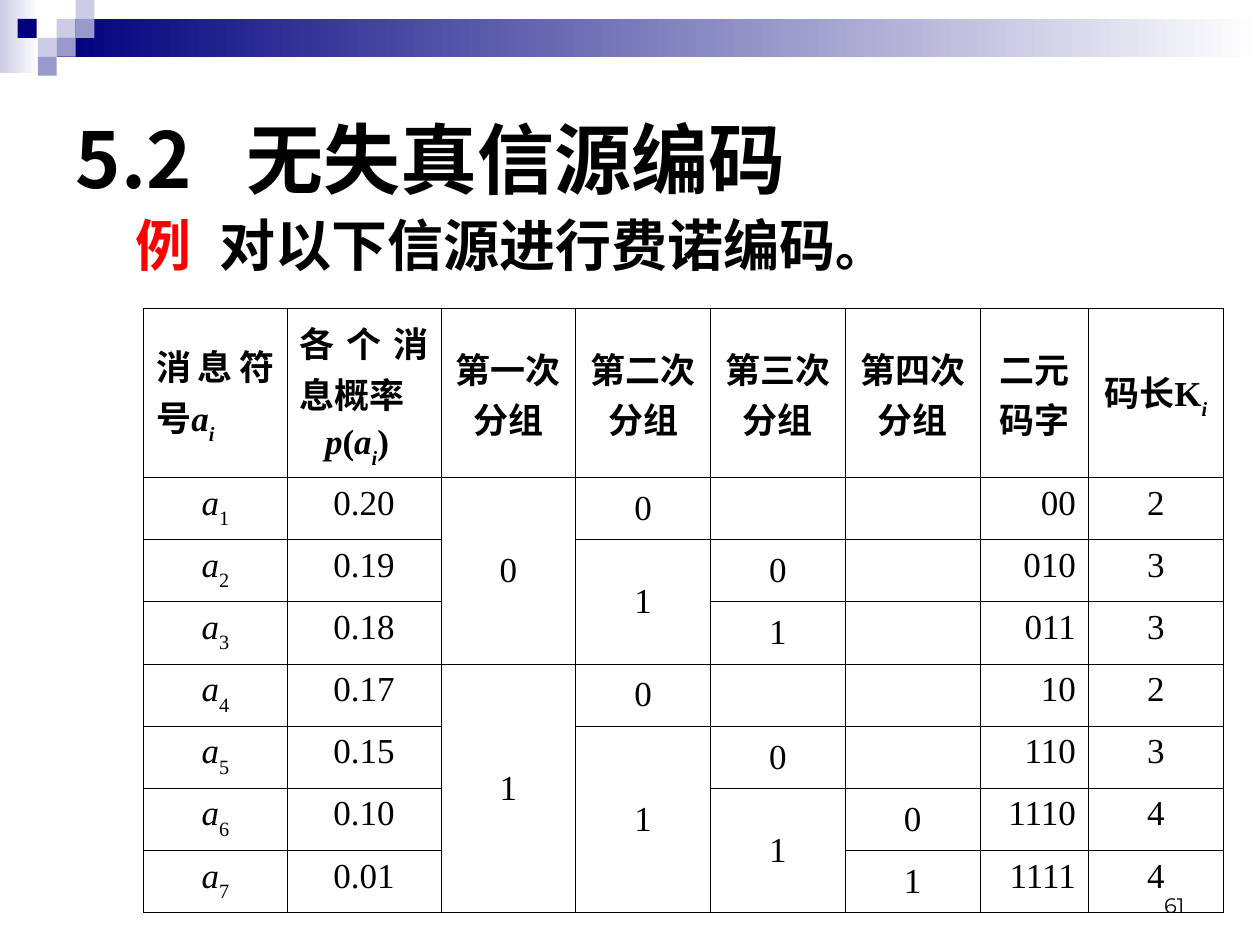
"""Build the slide on Fano coding of a seven-symbol source."""
from dataclasses import dataclass
from typing import Optional, Sequence

from lxml.etree import SubElement
from pptx import Presentation
from pptx.dml.color import RGBColor
from pptx.enum.dml import MSO_THEME_COLOR
from pptx.enum.shapes import MSO_SHAPE
from pptx.enum.text import MSO_ANCHOR, MSO_AUTO_SIZE, PP_ALIGN
from pptx.oxml.ns import qn
from pptx.util import Inches, Pt

BLACK = RGBColor(0x00, 0x00, 0x00)
WHITE = RGBColor(0xFF, 0xFF, 0xFF)
RED = RGBColor(0xFF, 0x00, 0x00)
NAVY = RGBColor(0x00, 0x00, 0x7D)
LAVENDER = RGBColor(0xCC, 0xCC, 0xE6)
PERIWINKLE = RGBColor(0x99, 0x99, 0xCC)
SERIF = "Times New Roman"
CHINESE = "Noto Sans CJK SC"
THIN, THICK = Pt(0.45), Pt(0.96)


@dataclass(frozen=True)
class Block:
    left: float
    top: float
    width: float
    height: float
    color: RGBColor
    fade: Optional[RGBColor] = None


@dataclass(frozen=True)
class Span:
    text: str
    italic: bool = False
    subscript: bool = False
    size: float = 20
    color: RGBColor = BLACK


@dataclass(frozen=True)
class Group:
    row: int
    column: int
    rows: int
    digit: str


SQUARE = 0.15
BLOCKS = [
    Block(0, 0, 0.31, 0.58, LAVENDER, WHITE),
    Block(0.45, 0.15, 9.55, 0.3, NAVY, WHITE),
] + [
    Block(left, top, SQUARE, SQUARE, color)
    for left, top, color in [
        (0.45, 0.15, LAVENDER), (0.6, 0, LAVENDER), (0.6, 0.15, PERIWINKLE),
        (0.3, 0.3, LAVENDER), (0.14, 0.15, NAVY), (0.45, 0.3, PERIWINKLE),
        (0.3, 0.45, PERIWINKLE),
    ]
]
COLUMN_WIDTHS = [1.14, 1.22, 1.07, 1.07, 1.07, 1.07, 0.86, 1.07]
HEADER_HEIGHT, ROW_HEIGHT = 1.34, 0.49
GROUP_HEADERS = ["第一次分组", "第二次分组", "第三次分组", "第四次分组", "二元码字"]
SYMBOLS = [
    ("0.20", "00"), ("0.19", "010"), ("0.18", "011"), ("0.17", "10"),
    ("0.15", "110"), ("0.10", "1110"), ("0.01", "1111"),
]
GROUPS = [
    Group(1, 2, 3, "0"), Group(4, 2, 4, "1"),
    Group(1, 3, 1, "0"), Group(2, 3, 2, "1"), Group(4, 3, 1, "0"), Group(5, 3, 3, "1"),
    Group(2, 4, 1, "0"), Group(3, 4, 1, "1"), Group(5, 4, 1, "0"), Group(6, 4, 2, "1"),
    Group(6, 5, 1, "0"), Group(7, 5, 1, "1"),
]


def style_run(run, size: float, color: RGBColor, bold: bool, name: str = SERIF) -> None:
    font = run.font
    font.size, font.bold, font.name = Pt(size), bold, name
    font.color.rgb = color
    SubElement(run._r.get_or_add_rPr(), qn("a:ea")).set("typeface", CHINESE)


def add_spans(para, spans: Sequence[Span], bold: bool) -> None:
    for span in spans:
        run = para.add_run()
        run.text = span.text
        style_run(run, span.size, span.color, bold)
        run.font.italic = span.italic
        if span.subscript:
            run._r.get_or_add_rPr().set("baseline", "-30000")


def add_tab(para, position: float) -> None:
    tabs = SubElement(para._p.get_or_add_pPr(), qn("a:tabLst"))
    SubElement(tabs, qn("a:tab"), pos=str(Inches(position)), algn="l")


def set_hanging(para) -> None:
    properties = para._p.get_or_add_pPr()
    properties.set("marL", str(Inches(0.38)))
    properties.set("indent", str(Inches(-0.38)))


def add_block(slide, block: Block) -> None:
    shape = slide.shapes.add_shape(
        MSO_SHAPE.RECTANGLE, Inches(block.left), Inches(block.top),
        Inches(block.width), Inches(block.height))
    shape.shadow.inherit = False
    shape.line.fill.background()
    if block.fade is None:
        shape.fill.solid()
        shape.fill.fore_color.rgb = block.color
    else:
        shape.fill.gradient()
        shape.fill.gradient_angle = 0
        for stop, color in zip(shape.fill.gradient_stops, (block.color, block.fade)):
            stop.color.rgb = color


def add_box(slide, left: float, top: float, width: float, height: float):
    box = slide.shapes.add_textbox(Inches(left), Inches(top), Inches(width), Inches(height))
    box.text_frame.word_wrap = True
    return box.text_frame


def fill_cell(cell, spans: Sequence[Span], align=PP_ALIGN.CENTER,
              anchor=MSO_ANCHOR.MIDDLE, bold: bool = False):
    cell.vertical_anchor = anchor
    para = cell.text_frame.paragraphs[0]
    para.alignment = align
    add_spans(para, spans, bold)
    return para


def border_cell(cell, row: int, last_row: int) -> None:
    sides = "LRTB"
    if cell.is_spanned:
        sides = "LRB" if row == last_row else "LR"
    bottom = row + (cell.span_height if cell.is_merge_origin else 1) - 1
    properties = cell._tc.get_or_add_tcPr()
    for side in sides:
        outer = (side == "T" and row == 0) or (side == "B" and bottom == last_row)
        line = SubElement(properties, qn(f"a:ln{side}"), w=str(THICK if outer else THIN))
        fill = SubElement(line, qn("a:solidFill"))
        SubElement(fill, qn("a:srgbClr"), val=str(BLACK))
    cell.fill.background()


def fill_header(table) -> None:
    symbol = [Span("a", italic=True), Span("i", italic=True, subscript=True)]
    fill_cell(table.cell(0, 0), [Span("消息符号"), *symbol], PP_ALIGN.JUSTIFY, bold=True)
    fill_cell(table.cell(0, 1), [Span("各个消息概率")], PP_ALIGN.JUSTIFY, bold=True)
    formula = table.cell(0, 1).text_frame.add_paragraph()
    formula.space_before = Pt(3)
    formula._p.get_or_add_pPr().set("marL", str(Inches(0.2)))
    add_spans(formula, [Span("p", italic=True), Span("("), *symbol, Span(")")], True)
    for column, label in enumerate(GROUP_HEADERS, start=2):
        fill_cell(table.cell(0, column), [Span(label)], bold=True)
    length = [Span("码长K"), Span("i", italic=True, subscript=True)]
    set_hanging(fill_cell(table.cell(0, 7), length, bold=True))


def add_code_table(slide) -> None:
    row_heights = [HEADER_HEIGHT] + [ROW_HEIGHT] * len(SYMBOLS)
    table = slide.shapes.add_table(
        len(row_heights), len(COLUMN_WIDTHS), Inches(1.14), Inches(2.45),
        Inches(sum(COLUMN_WIDTHS)), Inches(sum(row_heights))).table
    table.first_row = table.horz_banding = False
    for column, width in zip(table.columns, COLUMN_WIDTHS):
        column.width = Inches(width)
    for row, height in zip(table.rows, row_heights):
        row.height = Inches(height)
    fill_header(table)
    for row, (probability, code) in enumerate(SYMBOLS, start=1):
        symbol = [Span("a", italic=True), Span(str(row), subscript=True)]
        fill_cell(table.cell(row, 0), symbol, anchor=MSO_ANCHOR.TOP)
        fill_cell(table.cell(row, 1), [Span(probability)], anchor=MSO_ANCHOR.TOP)
        fill_cell(table.cell(row, 6), [Span(code)], PP_ALIGN.RIGHT, MSO_ANCHOR.TOP)
        fill_cell(table.cell(row, 7), [Span(str(len(code)))], anchor=MSO_ANCHOR.TOP)
    for group in GROUPS:
        cell = table.cell(group.row, group.column)
        if group.rows > 1:
            cell.merge(table.cell(group.row + group.rows - 1, group.column))
        fill_cell(cell, [Span(group.digit)])
    for row in range(len(row_heights)):
        for column in range(len(COLUMN_WIDTHS)):
            border_cell(table.cell(row, column), row, len(SYMBOLS))


def main() -> None:
    deck = Presentation()
    deck.slide_width, deck.slide_height = Inches(10), Inches(7.5)
    slide = deck.slides.add_slide(deck.slide_layouts[5])
    slide.background.fill.solid()
    slide.background.fill.fore_color.theme_color = MSO_THEME_COLOR.BACKGROUND_1
    for block in BLOCKS:
        add_block(slide, block)

    number = add_box(slide, 7.17, 6.83, 2.33, 0.5)
    number.vertical_anchor = MSO_ANCHOR.BOTTOM
    number.text = "61"
    number.paragraphs[0].alignment = PP_ALIGN.RIGHT
    style_run(number.paragraphs[0].runs[0], 12, BLACK, False, "Montserrat")

    title = slide.shapes.title
    title.left, title.top = Inches(0.5), Inches(0.5)
    title.width, title.height = Inches(9), Inches(1.5)
    frame = title.text_frame
    frame.auto_size, frame.vertical_anchor = MSO_AUTO_SIZE.NONE, MSO_ANCHOR.MIDDLE
    frame.text = "5.2\t无失真信源编码"
    heading = frame.paragraphs[0]
    heading.alignment = PP_ALIGN.LEFT
    add_tab(heading, 1.36)
    style_run(heading.runs[0], 44, BLACK, True, CHINESE)

    example = add_box(slide, 0.98, 1.62, 7.72, 0.79).paragraphs[0]
    add_tab(example, 0.66)
    add_spans(example, [Span("例", size=32, color=RED),
                        Span("\t对以下信源进行费诺编码", size=32), Span("。", size=28)], True)
    add_code_table(slide)
    deck.save("out.pptx")


if __name__ == "__main__":
    main()
